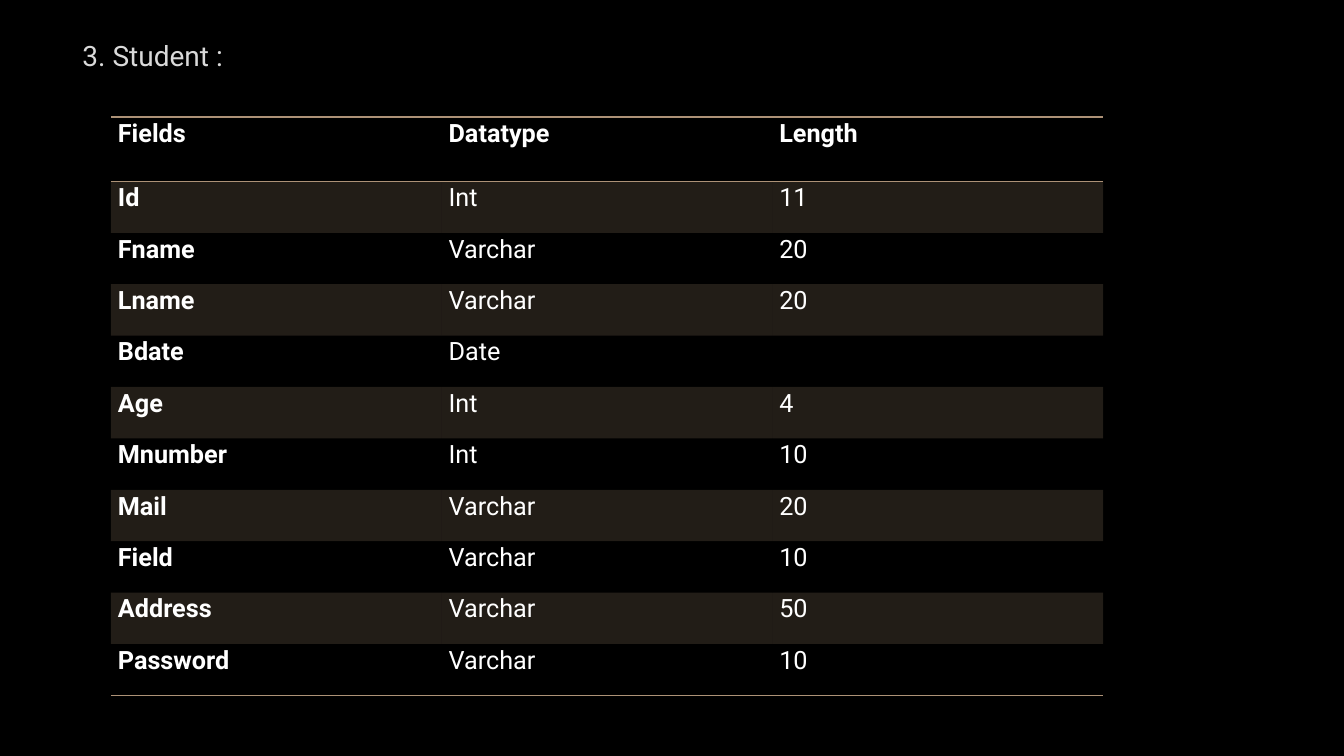
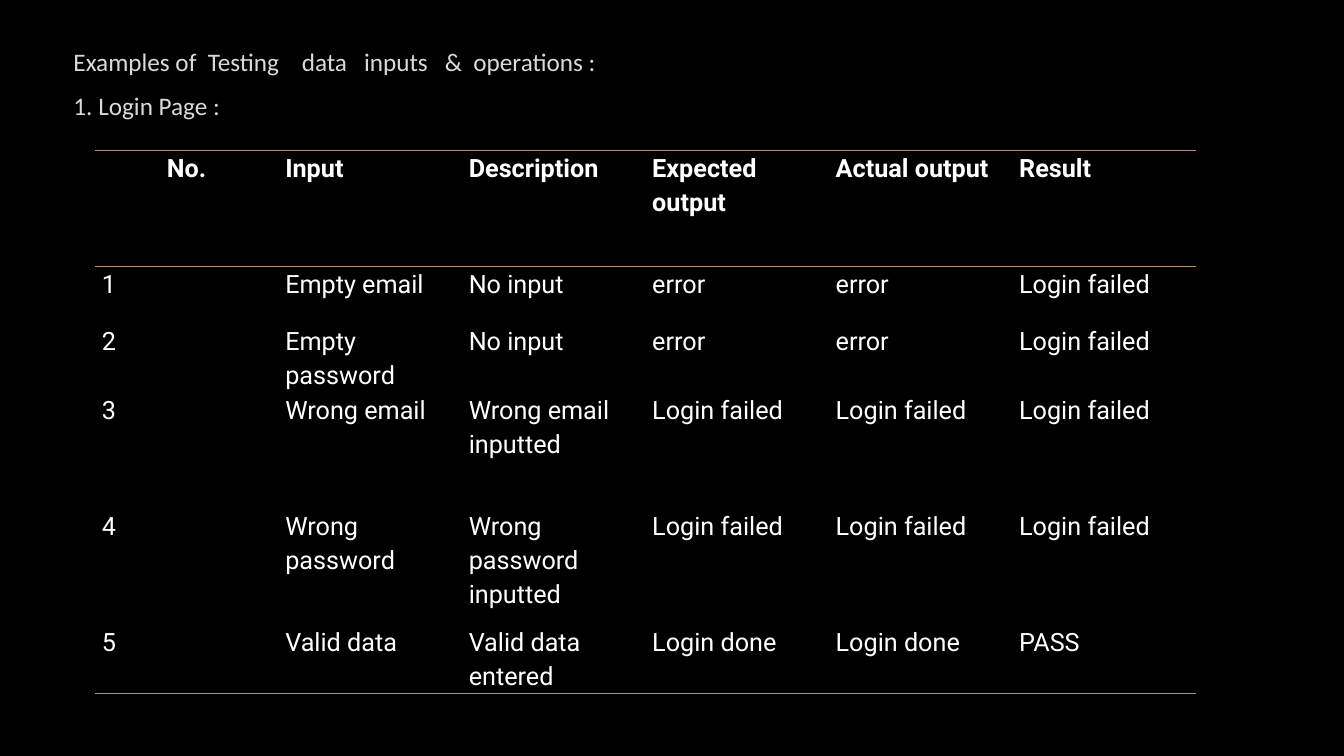
"""Builds two dark slides, each a heading above a ruled table."""
from lxml.etree import SubElement
from pptx import Presentation
from pptx.dml.color import RGBColor
from pptx.enum.text import PP_ALIGN as Align
from pptx.oxml import parse_xml
from pptx.oxml.ns import nsdecls, qn
from pptx.util import Inches, Pt

BLACK, WHITE, HEADING, SAND = "000000", "FFFFFF", "DADADA", "AD9277"
NO_STYLE = "{2D5ABB26-0587-4C30-8999-92F81FD0307C}"

STUDENT = {
    "heading": ["3. Student :"],
    "heading_box": (0.68, 0.33, 12.03, 6.61),
    "heading_font": ("Roboto", 20),
    "table_at": (1.1, 1.16),
    "column_width": 3.28,
    "row_heights": [0.64] + [0.51] * 10,
    "line_spacing": 1.07,
    "banded": True,
    "bold_first_column": True,
    "centred_cells": [],
    "rows": [
        ("Fields", "Datatype", "Length"),
        ("Id", "Int", "11"),
        ("Fname", "Varchar", "20"),
        ("Lname", "Varchar", "20"),
        ("Bdate", "Date", ""),
        ("Age", "Int", "4"),
        ("Mnumber", "Int", "10"),
        ("Mail", "Varchar", "20"),
        ("Field", "Varchar", "10"),
        ("Address", "Varchar", "50"),
        ("Password", "Varchar", "10"),
    ],
}

LOGIN_TESTS = {
    "heading": ["Examples of  Testing    data   inputs   &  operations :",
                "1. Login Page :"],
    "heading_box": (0.59, 0.41, 12.19, 6.59),
    "heading_font": ("Calibri", 18),
    "table_at": (0.94, 1.49),
    "column_width": 1.82,
    "row_heights": [1.15, 0.56, 0.68, 1.15, 1.15, 0.68],
    "line_spacing": 1.15,
    "banded": False,
    "bold_first_column": False,
    "centred_cells": [(0, 0)],
    "rows": [
        ("No.", "Input", "Description", "Expected output", "Actual output", "Result"),
        ("1", "Empty email", "No input", "error", "error", "Login failed"),
        ("2", "Empty password", "No input", "error", "error", "Login failed"),
        ("3", "Wrong email", "Wrong email inputted",
         "Login failed", "Login failed", "Login failed"),
        ("4", "Wrong password", "Wrong password inputted",
         "Login failed", "Login failed", "Login failed"),
        ("5", "Valid data", "Valid data entered", "Login done", "Login done", "PASS"),
    ],
}


def colour(hex_code):
    return RGBColor.from_string(hex_code)


def set_font(para, name, size, hex_code, bold=False):
    font = para.font
    font.name, font.size, font.bold = name, Pt(size), bold
    font.color.rgb = colour(hex_code)


def add_heading(page, content):
    box = page.shapes.add_textbox(*map(Inches, content["heading_box"]))
    frame = box.text_frame
    frame.word_wrap = True
    frame.text = "\n".join(content["heading"])
    name, size = content["heading_font"]
    for para in frame.paragraphs:
        set_font(para, name, size, HEADING)
        para.space_before, para.space_after = Pt(size * 0.2), Pt(6)
        para._p.get_or_add_pPr().set("marL", str(Inches(0.04)))


def fill_cell(cell, shaded):
    if not shaded:
        cell.fill.background()
        return
    cell.fill.solid()
    cell.fill.fore_color.rgb = colour(SAND)
    shade = cell._tc.tcPr.find(".//" + qn("a:srgbClr"))
    SubElement(shade, qn("a:alpha")).set("val", "20000")


def rule_cell(cell, sides):
    for place, side in enumerate(sides):
        line = parse_xml(
            f'<a:ln{side} {nsdecls("a")} w="{Pt(1)}"><a:solidFill>'
            f'<a:srgbClr val="{SAND}"/></a:solidFill></a:ln{side}>')
        cell._tc.get_or_add_tcPr().insert(place, line)


def add_ruled_table(page, content):
    rows, heights = content["rows"], content["row_heights"]
    column_count, last = len(rows[0]), len(rows) - 1
    left, top = content["table_at"]
    frame = page.shapes.add_table(
        len(rows), column_count, Inches(left), Inches(top),
        Inches(content["column_width"] * column_count), Inches(sum(heights)))
    table = frame.table
    table.first_row = table.horz_banding = False
    table._tbl.tblPr.find(qn("a:tableStyleId")).text = NO_STYLE
    for column in table.columns:
        column.width = Inches(content["column_width"])
    for r, (texts, height) in enumerate(zip(rows, heights)):
        table.rows[r].height = Inches(height)
        sides = "TB" if r == 0 else "B" if r == last else ""
        for c, text in enumerate(texts):
            cell = table.cell(r, c)
            cell.margin_left = cell.margin_right = Inches(0.07)
            cell.margin_top = cell.margin_bottom = 0
            cell.text = text
            para = cell.text_frame.paragraphs[0]
            para.line_spacing = content["line_spacing"]
            if (r, c) in content["centred_cells"]:
                para.alignment = Align.CENTER
            bold = r == 0 or (c == 0 and content["bold_first_column"])
            set_font(para, "Roboto", 18, WHITE, bold)
            fill_cell(cell, content["banded"] and r % 2 == 1)
            rule_cell(cell, sides)


def main():
    deck = Presentation()
    deck.slide_width, deck.slide_height = Inches(13.33), Inches(7.5)
    backdrop = deck.slide_master.background.fill
    backdrop.solid()
    backdrop.fore_color.rgb = colour(BLACK)
    for content in (STUDENT, LOGIN_TESTS):
        page = deck.slides.add_slide(deck.slide_layouts[6])
        add_heading(page, content)
        add_ruled_table(page, content)
    deck.save("out.pptx")


if __name__ == "__main__":
    main()
